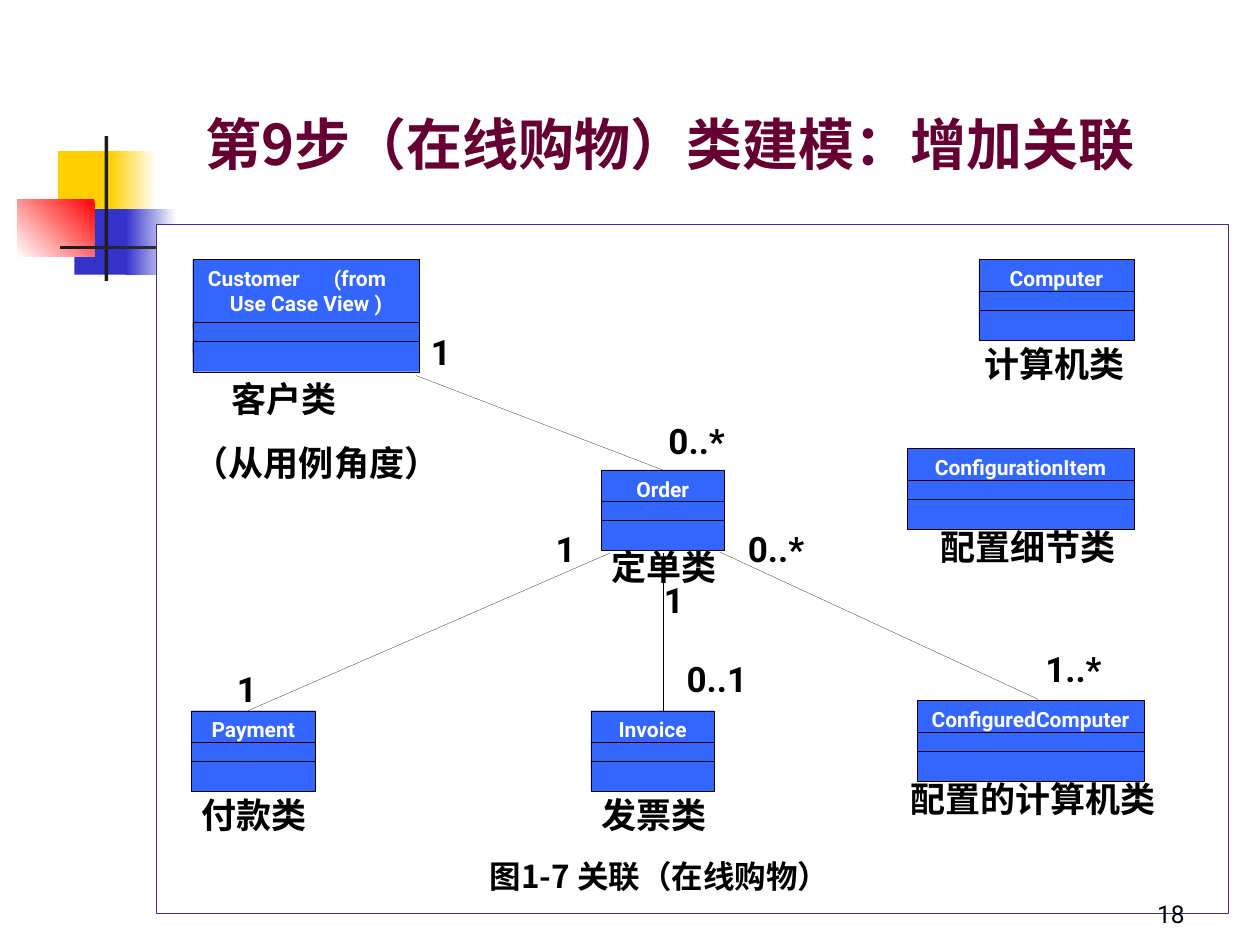
from pptx import Presentation
from pptx import util as u
from pptx.dml.color import RGBColor
from pptx.enum import shapes, text
from pptx.oxml.ns import qn
from lxml import etree

# Positions and sizes are columns and rows of a grid of 100 x 75 square cells.
CELL = u.Inches(0.1)
COLUMNS, ROWS = 100, 75

WHITE = RGBColor(0xFF, 0xFF, 0xFF)
BLACK = RGBColor(0x00, 0x00, 0x00)
YELLOW = RGBColor(0xFF, 0xCF, 0x01)
INDIGO = RGBColor(0x33, 0x33, 0xCC)
RED = RGBColor(0xFF, 0x00, 0x00)
CHARCOAL = RGBColor(0x1C, 0x1C, 0x1C)
FRAME_BLUE = RGBColor(0x33, 0x33, 0x99)
CLASS_BLUE = RGBColor(0x33, 0x66, 0xFF)
MAROON = RGBColor(0x66, 0x00, 0x33)

LATIN_FONT, CHINESE_FONT = "Roboto", "Noto Sans CJK SC"
HAIRLINE = u.Pt(0.11)

# English name, column, row, width, header height, Chinese name, its centre column and row
CLASSES = [
    ("Customer\t(from\nUse Case View )", 15.3, 20.6, 18, 5, None, None, None),
    ("ConfiguredComputer", 72.8, 55.6, 18, 2.5, "配置的计算机类", 82, 61.2),
    ("Order", 47.7, 37.3, 9.8, 2.5, "定单类", 52.7, 42.8),
    ("Payment", 15.2, 56.4, 9.8, 2.5, "付款类", 20.2, 62.5),
    ("Invoice", 46.9, 56.4, 9.8, 2.5, "发票类", 51.9, 62.5),
    ("ConfigurationItem", 72, 35.6, 18, 2.5, "配置细节类", 81.6, 41.2),
    ("Computer", 77.7, 20.6, 12.3, 2.5, "计算机类", 83.7, 26.7),
]

# Line start and end, then each multiplicity with its centre column and top row
ASSOCIATIONS = [
    ((48.4, 43.9), (19.7, 56.4), [("1", 44.9, 41.4), ("1", 19.6, 52.5)]),
    ((52.6, 37.3), (33, 29.8), [("1", 35, 25.7), ("0..*", 55.3, 32.8)]),
    ((57.1, 43.8), (82.4, 55.5), [("1..*", 85.2, 50.9), ("0..*", 61.6, 41.4)]),
    ((52.6, 43.9), (52.6, 56.4), [("1", 53.5, 45.4), ("0..1", 56.9, 51.7)]),
]


def grid(*cells):
    return [round(cell * CELL) for cell in cells]


def format_text(shape, size, color, font=LATIN_FONT, bold=True, align=text.PP_ALIGN.CENTER):
    for paragraph in shape.text_frame.paragraphs:
        paragraph.alignment = align
        for run in paragraph.runs:
            run.font.size = u.Pt(size)
            run.font.bold = bold
            run.font.name = font
            run.font.color.rgb = color
            east_asian = etree.SubElement(run.font._element, qn("a:ea"))
            east_asian.set("typeface", CHINESE_FONT)


def add_box(slide, column, row, width, height, fill, line=None):
    box = slide.shapes.add_shape(shapes.MSO_SHAPE.RECTANGLE, *grid(column, row, width, height))
    box.shadow.inherit = False
    box.fill.solid()
    box.fill.fore_color.rgb = fill
    if line is None:
        box.line.fill.background()
    else:
        box.line.color.rgb = line
        box.line.width = HAIRLINE
    return box


def add_fading_box(slide, column, row, width, height, colors, angle):
    box = add_box(slide, column, row, width, height, WHITE)
    box.fill.gradient()
    box.fill.gradient_angle = angle
    for stop, color in zip(box.fill.gradient_stops, colors):
        stop.color.rgb = color


def add_label(slide, content, column, row, width, height=4.4, wrap=True, size=20, **style):
    label = slide.shapes.add_textbox(*grid(column, row, width, height))
    label.text_frame.word_wrap = wrap
    label.text_frame.text = content
    format_text(label, size, BLACK, **style)
    return label


def add_decoration(slide):
    add_box(slide, 4.6, 12, 4.8, 5.2, YELLOW)
    add_fading_box(slide, 8.8, 12, 3.6, 5.2, (WHITE, YELLOW), 180)
    add_box(slide, 5.9, 16.6, 4.6, 5.2, INDIGO)
    add_fading_box(slide, 10, 16.6, 4, 5.2, (WHITE, INDIGO), 180)
    add_fading_box(slide, 1.4, 15.8, 6.1, 4.6, (RED, WHITE), 225)
    add_box(slide, 8.3, 10.8, 0.3, 11.5, CHARCOAL)
    add_fading_box(slide, 4.8, 19.5, 90, 0.3, (WHITE, CHARCOAL), 180)


def place_title(slide, content):
    title = slide.shapes.title
    title.left, title.top, title.width, title.height = grid(15.3, 4.4, 82.5, 15)
    frame = title.text_frame
    frame.text = content
    frame.word_wrap = True
    frame.auto_size = text.MSO_AUTO_SIZE.NONE
    frame.vertical_anchor = text.MSO_ANCHOR.BOTTOM
    frame.margin_bottom = grid(5.4)[0]
    format_text(title, 32, MAROON, CHINESE_FONT, align=text.PP_ALIGN.LEFT)


def spread_first_line(box, stop):
    """Left-align the first line and set its tab stop, in grid cells."""
    paragraph = box.text_frame.paragraphs[0]
    paragraph.alignment = text.PP_ALIGN.LEFT
    properties = paragraph._p.get_or_add_pPr()
    properties.set("marL", str(grid(1.1)[0]))
    properties.set("indent", "0")
    tabs = etree.SubElement(properties, qn("a:tabLst"))
    etree.SubElement(tabs, qn("a:tab"), pos=str(grid(stop)[0]), algn="l")


def add_class(slide, name, column, row, width, header, chinese, center, label_row):
    box = add_box(slide, column, row, width, header + 0.5, CLASS_BLUE, BLACK)
    frame = box.text_frame
    frame.vertical_anchor = text.MSO_ANCHOR.TOP
    # Long names keep to one line in the narrow boxes.
    frame.margin_left = frame.margin_right = grid(0.1)[0]
    frame.text = name
    format_text(box, 12, WHITE)
    if "\t" in name:
        spread_first_line(box, 12.6)
    for offset in (header, header + 1.5):
        add_box(slide, column, row + offset, width, 2.4, CLASS_BLUE, BLACK)
    if chinese:
        label_width = 2.8 * len(chinese) + 2
        add_label(slide, chinese, center - label_width / 2, label_row, label_width, wrap=False)


def add_customer_label(slide):
    label = add_label(slide, "客户类\n（从用例角度）", 13, 29.5, 23.6, 9.4,
                      align=text.PP_ALIGN.LEFT)
    first, second = label.text_frame.paragraphs
    second.space_before = u.Pt(12.5)
    for paragraph, indent in ((first, 4.4), (second, 1.4)):
        properties = paragraph._p.get_or_add_pPr()
        properties.set("marL", str(grid(indent)[0]))
        properties.set("indent", "0")


def add_association(slide, start, end, multiplicities):
    line = slide.shapes.add_connector(shapes.MSO_CONNECTOR.STRAIGHT, *grid(*start, *end))
    line.line.color.rgb = BLACK
    line.line.width = HAIRLINE
    etree.SubElement(line._element.spPr, qn("a:effectLst"))
    for content, center, row in multiplicities:
        add_label(slide, content, center - 4.5, row, 9)


def main():
    presentation = Presentation()
    presentation.slide_width, presentation.slide_height = grid(COLUMNS, ROWS)
    slide = presentation.slides.add_slide(presentation.slide_layouts.get_by_name("Title Only"))
    add_decoration(slide)
    place_title(slide, "第9步（在线购物）类建模：增加关联")
    add_box(slide, 12.4, 17.8, 85.1, 54.7, WHITE, FRAME_BLUE)
    for row in CLASSES:
        add_class(slide, *row)
    add_customer_label(slide)
    for association in ASSOCIATIONS:
        add_association(slide, *association)
    add_label(slide, "图1-7 关联（在线购物）", 37, 67.5, 30.7, 4, wrap=False, size=18,
              font=CHINESE_FONT)
    number = add_label(slide, "18", 74.2, 69.2, 20.8, 5, size=14, bold=False,
                       align=text.PP_ALIGN.RIGHT)
    number.text_frame.vertical_anchor = text.MSO_ANCHOR.BOTTOM
    presentation.save("out.pptx")


if __name__ == "__main__":
    main()
